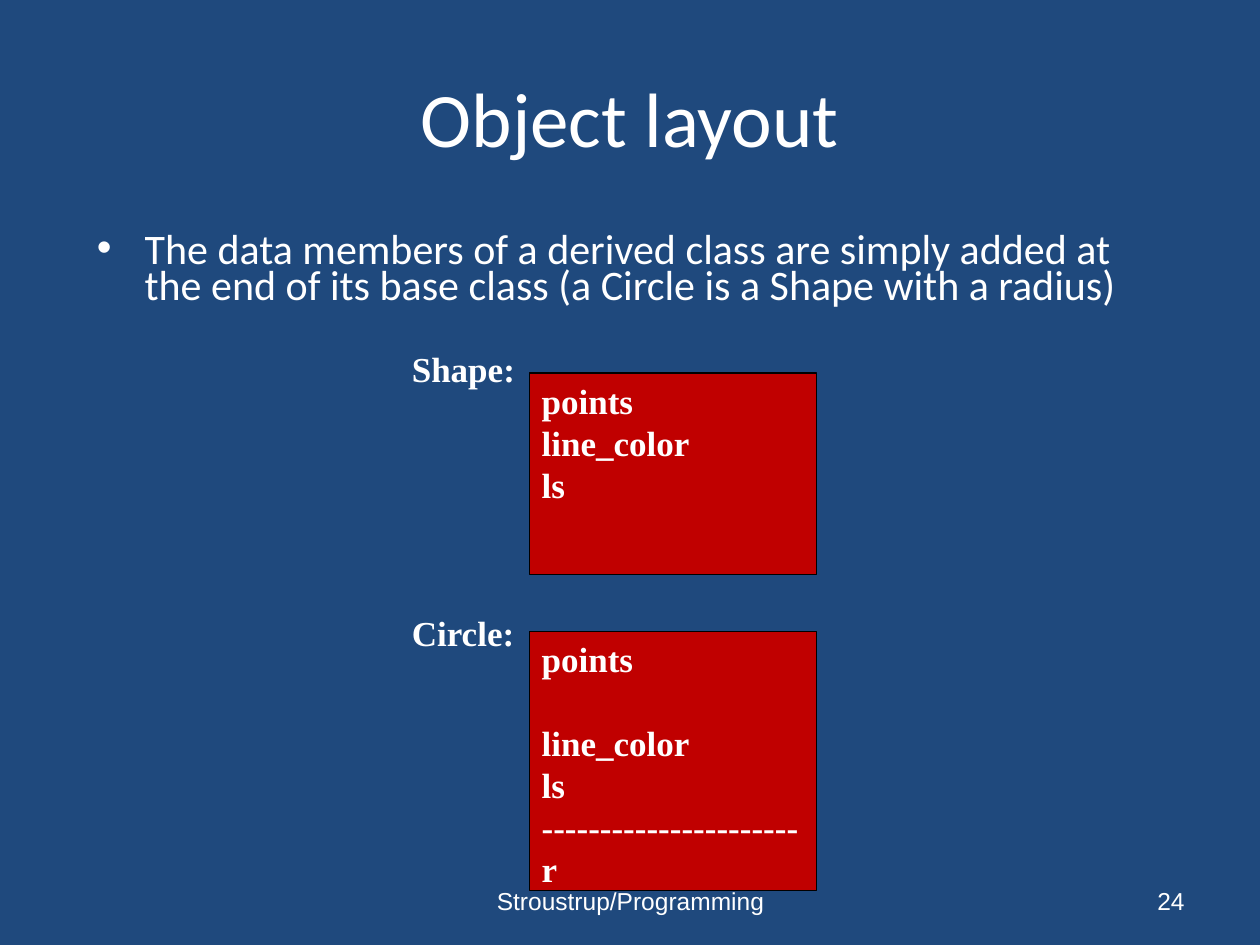
from pptx import Presentation
from pptx.dml.color import RGBColor
from pptx.enum.shapes import MSO_SHAPE as Preset
from pptx.enum.text import MSO_ANCHOR as Anchor, PP_ALIGN as Align
from pptx.oxml.ns import qn
from pptx.util import Inches, Pt
from lxml.etree import SubElement

NAVY = RGBColor(0x1F, 0x49, 0x7D)
RED = RGBColor(0xC0, 0x00, 0x00)
BLACK = RGBColor(0, 0, 0)
WHITE = RGBColor(255, 255, 255)

TITLE = "Object layout"
POINT = ("The data members of a derived class are simply added at the end "
         "of its base class (a Circle is a Shape with a radius)")
FOOTERS = [
    ("Stroustrup/Programming", 3.42, 3.17, Align.CENTER),
    ("24", 7.17, 2.33, Align.RIGHT),
]
LAYOUTS = [
    {"label": "Shape:", "label_top": 2.71, "top": 2.96, "height": 1.6,
     "members": ["points", "line_color", "ls"], "gap": 0},
    {"label": "Circle:", "label_top": 4.8, "top": 5.01, "height": 2.06,
     "members": ["points", "line_color", "ls", "-" * 22, "r"], "gap": 24},
]
LABEL_LEFT, LABEL_WIDTH, LABEL_HEIGHT = 3.17, 1.37, 0.68
BOX_LEFT, BOX_WIDTH = 4.2, 2.28


def write(box, lines, font, size, bold=False, align=Align.LEFT, anchor=Anchor.TOP):
    frame = box.text_frame
    frame.word_wrap = True
    frame.vertical_anchor = anchor
    for index, line in enumerate(lines):
        para = frame.add_paragraph() if index else frame.paragraphs[0]
        para.alignment = align
        span = para.add_run()
        span.text = line
        span.font.name = font
        span.font.size = Pt(size)
        span.font.bold = bold
        span.font.color.rgb = WHITE
    return frame.paragraphs


def add_text(page, area, lines, font, size, **style):
    box = page.shapes.add_textbox(*map(Inches, area))
    return write(box, lines, font, size, **style)


def add_bullet(para, indent):
    props = para._p.get_or_add_pPr()
    props.set("marL", str(Inches(indent)))
    props.set("indent", str(-Inches(indent)))
    SubElement(props, qn("a:buFont")).set("typeface", "Arial")
    SubElement(props, qn("a:buChar")).set("char", "•")


def add_layout(page, layout):
    box = page.shapes.add_shape(
        Preset.RECTANGLE,
        *map(Inches, (BOX_LEFT, layout["top"], BOX_WIDTH, layout["height"])))
    box.shadow.inherit = False
    box.fill.solid()
    box.fill.fore_color.rgb = RED
    box.line.color.rgb = BLACK
    box.line.width = Pt(0.75)
    members = write(box, layout["members"], "Times New Roman", 20, bold=True)
    members[0].space_after = Pt(layout["gap"])
    add_text(page, (LABEL_LEFT, layout["label_top"], LABEL_WIDTH, LABEL_HEIGHT),
             [layout["label"]], "Times New Roman", 20, bold=True)


def main():
    deck = Presentation()
    deck.slide_width, deck.slide_height = Inches(10), Inches(7.5)
    page = deck.slides.add_slide(deck.slide_layouts[6])
    page.background.fill.solid()
    page.background.fill.fore_color.rgb = NAVY

    add_text(page, (0.5, 0.3, 9, 1.25), [TITLE], "Calibri", 44,
             align=Align.CENTER, anchor=Anchor.MIDDLE)
    point = add_text(page, (0.67, 1.83, 8.5, 0.67), [POINT], "Calibri", 24)[0]
    point.line_spacing = 0.7
    point.space_before = Pt(4.8)
    add_bullet(point, 0.38)
    for layout in LAYOUTS:
        add_layout(page, layout)
    for text, left, width, align in FOOTERS:
        add_text(page, (left, 6.95, width, 0.4), [text], "Arial", 14,
                 align=align, anchor=Anchor.MIDDLE)
    deck.save("out.pptx")


if __name__ == "__main__":
    main()
